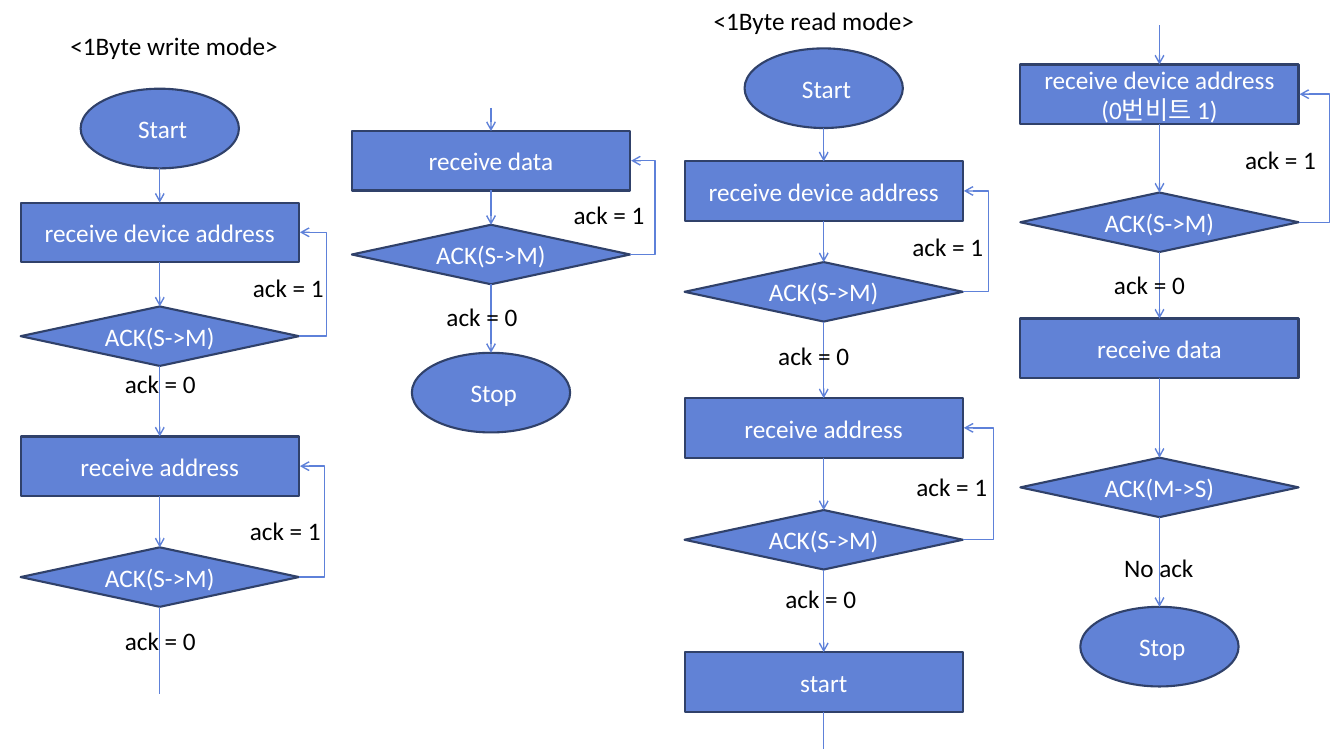
from dataclasses import dataclass
from itertools import pairwise

from lxml.etree import SubElement
from pptx import Presentation
from pptx.dml.color import RGBColor
from pptx.enum.shapes import MSO_CONNECTOR as Link, MSO_SHAPE as Form
from pptx.enum.text import MSO_ANCHOR as Anchor, PP_ALIGN as Align
from pptx.oxml.ns import qn
from pptx.util import Inches, Pt


@dataclass(frozen=True)
class Theme:
    font: str = "Calibri"
    size: int = 18
    fill: RGBColor = RGBColor(0x61, 0x82, 0xD6)
    border: RGBColor = RGBColor(0x30, 0x41, 0x6A)
    arrow: RGBColor = RGBColor(0x5E, 0x81, 0xD9)
    light: RGBColor = RGBColor(0xFF, 0xFF, 0xFF)
    dark: RGBColor = RGBColor(0, 0, 0)
    border_width: float = 1.5
    arrow_width: float = 1


@dataclass(frozen=True)
class Step:
    form: Form
    text: str
    top: float
    retry: float = 0  # how far the loop back to the step above reaches out


@dataclass(frozen=True)
class Flow:
    center: float
    steps: tuple
    entry: float = 0  # where the incoming arrow begins
    leave: float = 0  # where the outgoing line ends


SIZES = {Form.OVAL: (1.57, 0.79), Form.RECTANGLE: (2.76, 0.59), Form.DIAMOND: (2.76, 0.59)}
ADDRESS, CHECK = "receive device address", "ACK(S->M)"

FLOWS = [
    Flow(1.585, (
        Step(Form.OVAL, " Start", 0.88),
        Step(Form.RECTANGLE, ADDRESS, 2.01),
        Step(Form.DIAMOND, CHECK, 3.04, 0.28),
        Step(Form.RECTANGLE, "receive address", 4.33),
        Step(Form.DIAMOND, CHECK, 5.43, 0.26),
    ), leave=6.89),
    Flow(4.87, (
        Step(Form.RECTANGLE, "receive data", 1.3),
        Step(Form.DIAMOND, CHECK, 2.23, 0.25),
        Step(Form.OVAL, " Stop", 3.5),
    ), entry=1.07),
    Flow(8.17, (
        Step(Form.OVAL, " Start", 0.48),
        Step(Form.RECTANGLE, ADDRESS, 1.6),
        Step(Form.DIAMOND, CHECK, 2.6, 0.26),
        Step(Form.RECTANGLE, "receive address", 3.95),
        Step(Form.DIAMOND, CHECK, 5.06, 0.31),
        Step(Form.RECTANGLE, "start", 6.47),
    ), leave=7.43),
    Flow(11.5, (
        Step(Form.RECTANGLE, ADDRESS + "\n(0번비트 1)", 0.64),
        Step(Form.DIAMOND, CHECK, 1.91, 0.31),
        Step(Form.RECTANGLE, "receive data", 3.16),
        Step(Form.DIAMOND, "ACK(M->S)", 4.54),
        Step(Form.OVAL, " Stop", 6.02),
    ), entry=0.25),
]

TITLES = [("<1Byte write mode>", 0.6, 0.25), ("<1Byte read mode>", 6.98, 0)]
LABELS = {
    "ack = 1": [(2.41, 2.65), (2.38, 5.06), (5.59, 1.93), (8.95, 2.25), (8.99, 4.63), (12.25, 1.38)],
    "ack = 0": [(1.14, 3.61), (1.14, 6.15), (4.33, 2.94), (7.62, 3.33), (7.69, 5.74), (10.95, 2.62)],
    "No ack": [(11.05, 5.43)],
}


def write(frame, text, *, font, size, color, align=Align.LEFT, anchor=Anchor.TOP):
    frame.word_wrap = True
    frame.vertical_anchor = anchor
    for index, words in enumerate(text.split("\n")):
        para = frame.add_paragraph() if index else frame.paragraphs[0]
        para.alignment = align
        span = para.add_run()
        span.text = words
        span.font.name, span.font.size = font, Pt(size)
        span.font.color.rgb = color


class Chart:
    def __init__(self, page, theme):
        self.page, self.theme = page, theme

    def node(self, step, center):
        width, height = SIZES[step.form]
        box = self.page.shapes.add_shape(
            step.form, Inches(center - width / 2), Inches(step.top), Inches(width), Inches(height))
        box.shadow.inherit = False
        box.fill.solid()
        box.fill.fore_color.rgb = self.theme.fill
        box.line.color.rgb = self.theme.border
        box.line.width = Pt(self.theme.border_width)
        write(box.text_frame, step.text, font=self.theme.font, size=self.theme.size,
              color=self.theme.light, align=Align.CENTER, anchor=Anchor.MIDDLE)
        return box

    def label(self, text, left, top, width=1.08):
        box = self.page.shapes.add_textbox(Inches(left), Inches(top), Inches(width), Inches(0.4))
        write(box.text_frame, text, font=self.theme.font, size=self.theme.size, color=self.theme.dark)

    def connector(self, kind, x1, y1, x2, y2, arrow=True):
        line = self.page.shapes.add_connector(kind, x1, y1, x2, y2)
        line.line.color.rgb = self.theme.arrow
        line.line.width = Pt(self.theme.arrow_width)
        properties = line.element.spPr
        if arrow:
            SubElement(properties.find(qn("a:ln")), qn("a:tailEnd"), type="arrow")
        SubElement(properties, qn("a:effectLst"))
        return line

    def down(self, center, start, end, above=None, below=None):
        x = Inches(center)
        line = self.connector(Link.STRAIGHT, x, start, x, end, arrow=below is not None)
        # An oval numbers its bottom point differently, so only its top is joined
        if above is not None and above.auto_shape_type != Form.OVAL:
            line.begin_connect(above, 2)
        if below is not None:
            line.end_connect(below, 0)

    def loop(self, check, target, reach):
        step = Inches(0.01)
        right = check.left + check.width
        line = self.connector(Link.ELBOW, right, check.top + check.height // 2,
                              right + step, target.top + target.height // 2)
        bend = round(Inches(reach) / step * 100000)
        guides = line.element.spPr.find(qn("a:prstGeom")).find(qn("a:avLst"))
        SubElement(guides, qn("a:gd"), name="adj1", fmla=f"val {bend}")

    def flow(self, flow):
        boxes = [self.node(step, flow.center) for step in flow.steps]
        for above, below in pairwise(boxes):
            self.down(flow.center, above.top + above.height, below.top, above, below)
        for step, target, check in zip(flow.steps[1:], boxes, boxes[1:]):
            if step.retry:
                self.loop(check, target, step.retry)
        if flow.entry:
            self.down(flow.center, Inches(flow.entry), boxes[0].top, below=boxes[0])
        if flow.leave:
            last = boxes[-1]
            self.down(flow.center, last.top + last.height, Inches(flow.leave), above=last)


def main():
    deck = Presentation()
    deck.slide_width, deck.slide_height = Inches(13.33), Inches(7.5)
    chart = Chart(deck.slides.add_slide(deck.slide_layouts[6]), Theme())

    # Flow columns with their arrows and loops
    for flow in FLOWS:
        chart.flow(flow)

    # Captions
    for text, left, top in TITLES:
        chart.label(text, left, top, width=2.36)
    for text, places in LABELS.items():
        for left, top in places:
            chart.label(text, left, top)

    deck.save("out.pptx")


if __name__ == "__main__":
    main()
